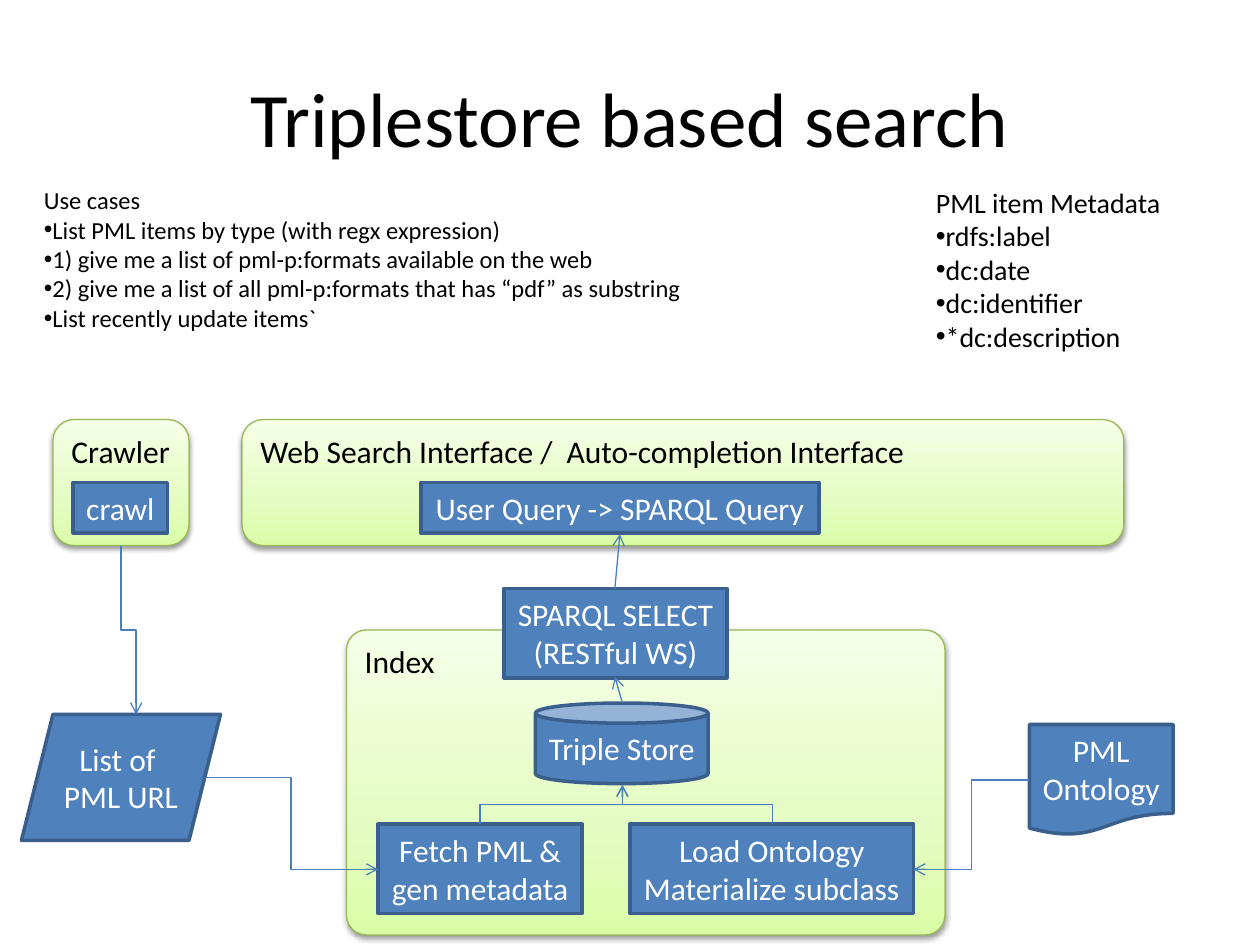
from copy import deepcopy

from lxml.etree import SubElement
from pptx import Presentation
from pptx.dml.color import RGBColor
from pptx.enum.shapes import MSO_CONNECTOR, MSO_SHAPE
from pptx.enum.text import MSO_ANCHOR, MSO_AUTO_SIZE, PP_ALIGN
from pptx.oxml import parse_xml
from pptx.oxml.ns import nsdecls, qn
from pptx.util import Inches, Pt

COLORS = {
    "text": "000000",
    "node": "4F81BD",
    "node_line": "3A5F8C",
    "node_text": "FFFFFF",
    "panel_line": "98B955",
    "arrow": "4B7EBC",
}
PANEL_STOPS = [(0, "DAFDA7"), (0.35, "E4FCC2"), (1, "F5FFE7")]
PANEL_SHADOW = (
    f'<a:outerShdw {nsdecls("a")} blurRad="39370" dist="20320" dir="5400000" rotWithShape="0">'
    '<a:srgbClr val="000000"><a:alpha val="38000"/></a:srgbClr></a:outerShdw>'
)


def write_text(shape, lines, size, color, alignment):
    """Fill a shape with one paragraph per line in a common format."""
    shape.text_frame.text = "\n".join(lines)
    for paragraph in shape.text_frame.paragraphs:
        paragraph.alignment = alignment
        paragraph.font.size = Pt(size)
        paragraph.font.name = "Calibri"
        paragraph.font.color.rgb = RGBColor.from_string(COLORS[color])


def add_arrow(kind, begin, end, vertical=False):
    """Add an arrow; a vertical elbow leaves and arrives vertically."""
    points = [begin, end]
    if vertical:
        # Lay the elbow on its side, then turn it about its centre.
        center_x = (begin[0] + end[0]) / 2
        center_y = (begin[1] + end[1]) / 2
        points = [(center_x + center_y - y, center_y + x - center_x) for x, y in points]
    connector = slide.shapes.add_connector(
        kind, *[Inches(value) for point in points for value in point]
    )
    properties = connector._element.spPr
    if vertical:
        properties.find(qn("a:xfrm")).set("rot", str(270 * 60000))
    connector.line.color.rgb = RGBColor.from_string(COLORS["arrow"])
    connector.line.width = Pt(0.75)
    SubElement(properties.find(qn("a:ln")), qn("a:tailEnd"), type="arrow")
    SubElement(properties, qn("a:effectLst"))


presentation = Presentation()
presentation.slide_width = Inches(10)
presentation.slide_height = Inches(7.5)
slide = presentation.slides.add_slide(presentation.slide_layouts[5])

title = slide.shapes.title
title.left, title.top, title.width, title.height = map(Inches, (0.5, 0.3, 9, 1.25))
write_text(title, ["Triplestore based search"], 44, "text", PP_ALIGN.CENTER)

# Green panels
panels = [
    ("Index", (2.75, 5, 4.75, 2.42), 0.065),
    ("Web Search Interface /  Auto-completion Interface", (1.92, 3.33, 7, 1), 0.167),
    ("Crawler", (0.42, 3.33, 1.08, 1), 0.167),
]
for label, box, rounding in panels:
    panel = slide.shapes.add_shape(MSO_SHAPE.ROUNDED_RECTANGLE, *map(Inches, box))
    panel.adjustments[0] = rounding
    panel.fill.gradient()
    panel.fill.gradient_angle = 90
    stop_list = panel._element.spPr.find(qn("a:gradFill")).find(qn("a:gsLst"))
    stop_list.append(deepcopy(stop_list[0]))
    for stop, (position, color) in zip(panel.fill.gradient_stops, PANEL_STOPS):
        stop.position = position
        stop.color.rgb = RGBColor.from_string(color)
    panel.line.color.rgb = RGBColor.from_string(COLORS["panel_line"])
    panel.line.width = Pt(0.75)
    panel.shadow.inherit = False
    panel._element.spPr.find(qn("a:effectLst")).append(parse_xml(PANEL_SHADOW))
    write_text(panel, [label], 18, "text", PP_ALIGN.LEFT)
    panel.text_frame.vertical_anchor = MSO_ANCHOR.TOP

# Bulleted notes, each under a plain heading
notes = [
    ((0.25, 1.42, 5.3, 1.28), 14, [
        "Use cases",
        "List PML items by type (with regx expression)",
        "1) give me a list of pml-p:formats available on the web",
        "2) give me a list of all pml-p:formats that has “pdf” as substring",
        "List recently update items`",
    ]),
    ((7.33, 1.42, 2, 1.45), 16, [
        "PML item Metadata", "rdfs:label", "dc:date", "dc:identifier", "*dc:description",
    ]),
]
for box, size, lines in notes:
    note = slide.shapes.add_textbox(*map(Inches, box))
    write_text(note, lines, size, "text", PP_ALIGN.LEFT)
    note.text_frame.word_wrap = False
    note.text_frame.auto_size = MSO_AUTO_SIZE.SHAPE_TO_FIT_TEXT
    for paragraph in note.text_frame.paragraphs[1:]:
        SubElement(paragraph._p.get_or_add_pPr(), qn("a:buFont"), typeface="Arial")
        SubElement(paragraph._p.get_or_add_pPr(), qn("a:buChar"), char="•")

# Blue nodes
nodes = [
    (MSO_SHAPE.CAN, (4.25, 5.58, 1.37, 0.64), ["Triple Store"]),
    (MSO_SHAPE.RECTANGLE, (4, 4.67, 1.77, 0.71), ["SPARQL SELECT", "(RESTful WS)"]),
    (MSO_SHAPE.RECTANGLE, (3.34, 3.83, 3.16, 0.4), ["User Query -> SPARQL Query"]),
    (MSO_SHAPE.RECTANGLE, (3, 6.54, 1.62, 0.71), ["Fetch PML &", "gen metadata"]),
    (MSO_SHAPE.FLOWCHART_DOCUMENT, (8.17, 5.75, 1.14, 0.88), ["PML", "Ontology"]),
    (MSO_SHAPE.PARALLELOGRAM, (0.17, 5.67, 1.58, 1), ["List of ", "PML URL"]),
    (MSO_SHAPE.RECTANGLE, (5, 6.54, 2.25, 0.71), ["Load Ontology", "Materialize subclass"]),
    (MSO_SHAPE.RECTANGLE, (0.58, 3.83, 0.75, 0.4), ["crawl"]),
]
for kind, box, lines in nodes:
    node = slide.shapes.add_shape(kind, *map(Inches, box))
    node.fill.solid()
    node.fill.fore_color.rgb = RGBColor.from_string(COLORS["node"])
    node.line.color.rgb = RGBColor.from_string(COLORS["node_line"])
    node.line.width = Pt(2)
    node.shadow.inherit = False
    write_text(node, lines, 18, "node_text", PP_ALIGN.CENTER)
    node.text_frame.vertical_anchor = MSO_ANCHOR.MIDDLE
    node.text_frame.word_wrap = False
    node.text_frame.auto_size = MSO_AUTO_SIZE.SHAPE_TO_FIT_TEXT

# Arrows
store_bottom = (4.94, 6.23)
add_arrow(MSO_CONNECTOR.ELBOW, (0.96, 4.33), (1.08, 5.67), vertical=True)
add_arrow(MSO_CONNECTOR.ELBOW, (1.62, 6.17), (3, 6.9))
add_arrow(MSO_CONNECTOR.ELBOW, (8.17, 6.19), (7.25, 6.9))
add_arrow(MSO_CONNECTOR.ELBOW, (3.81, 6.54), store_bottom, vertical=True)
add_arrow(MSO_CONNECTOR.ELBOW, (6.13, 6.54), store_bottom, vertical=True)
add_arrow(MSO_CONNECTOR.STRAIGHT, (4.94, 5.58), (4.88, 5.37))
add_arrow(MSO_CONNECTOR.STRAIGHT, (4.88, 4.67), (4.92, 4.24))

presentation.save("out.pptx")
